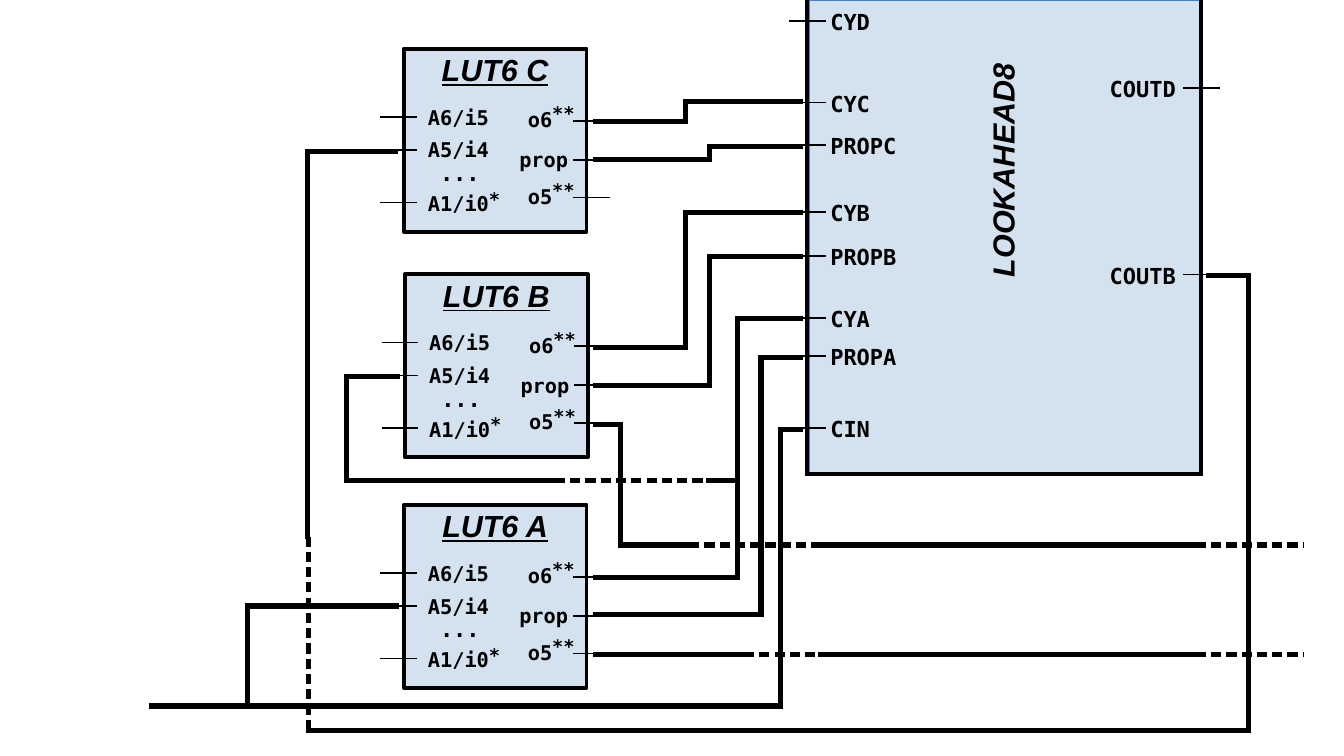
from itertools import pairwise
from pptx import Presentation, util as u
from pptx.dml.color import RGBColor
from pptx.enum import shapes, text
from pptx.oxml import ns, xmlchemy as xc

PX = 9144
INK = {"line": "000000", "fill": "729FCF"}
MONO, SANS = "DejaVu Sans Mono", "Arial"


def emu(*nums):
    return [u.Emu(n * PX) for n in nums]


def shade(fill, name):
    fill.solid()
    fill.fore_color.rgb = RGBColor.from_string(INK[name])


def add(parent, tag, **attrs):
    node = xc.OxmlElement(tag)
    for key, val in attrs.items():
        node.set(key, val)
    parent.append(node)
    return node


def line(slide, start, end, size=1, dash=False):
    bar = slide.shapes.add_connector(
        shapes.MSO_CONNECTOR.STRAIGHT, *emu(*start, *end))
    bar.line.width = u.Pt(size)
    shade(bar.line.fill, "line")
    pen = bar.line._get_or_add_ln()
    if dash:
        add(add(pen, "a:custDash"), "a:ds", d="200000", sp="100000")
    elif size == 3:
        pen.set("cap", "sq")
    add(bar._element.spPr, "a:effectLst")


def style(run, size, face):
    font = run.font
    font.name, font.size, font.bold = face, u.Pt(size), True
    font.italic = face == SANS
    font.color.rgb = RGBColor.from_string(INK["line"])
    return font


def label(slide, words, box, size, face=MONO):
    area = slide.shapes.add_textbox(*emu(*box))
    frame = area.text_frame
    frame.word_wrap = True
    frame.text = words
    style(frame.paragraphs[0].runs[0], size, face)
    return area


def block(slide, box):
    rect = slide.shapes.add_shape(shapes.MSO_SHAPE.RECTANGLE, *emu(*box))
    rect.shadow.inherit = False
    shade(rect.fill, "fill")
    tint = rect._element.spPr.find(".//" + ns.qn("a:srgbClr"))
    add(tint, "a:alpha", val="30000")
    return rect


def lut(slide, name, box):
    x, y, w, h = box
    rect = block(slide, box)
    rect.line.width = u.Pt(2.3)
    shade(rect.line.fill, "line")
    frame = rect.text_frame
    frame.vertical_anchor = text.MSO_ANCHOR.TOP
    frame.margin_top = emu(2)[0]
    frame.word_wrap = False
    frame.text = name
    head = frame.paragraphs[0]
    head.alignment = text.PP_ALIGN.CENTER
    style(head.runs[0], 18, SANS).underline = True
    for edge, rows in ((-19, (56, 83, 126)), (w - 11, (59, 91, 122))):
        for row in rows:
            line(slide, (x + edge, y + row), (x + edge + 30, y + row))
    for words, dx, dy, wide, size in LABELS:
        label(slide, words, (x + dx, y + dy, wide, 29), size)


def ahead(slide, box):
    x, y, w, h = box
    block(slide, box)
    left, right, base = x - 2, x + w + 1, y + h
    for start, end in (((left, y), (left, base)),
                       ((left, base - 1), (right, base - 1)),
                       ((right, y), (right, base))):
        line(slide, start, end, 2.3)
    for pins, edge, shift in ((INS, x - 17, 24), (OUTS, x + w - 14, -70)):
        for words, row in pins:
            line(slide, (edge, y + row), (edge + 30, y + row))
            label(slide, words, (edge + shift, y + row - 15, 110, 31), 13)
    name = label(slide, "LOOKAHEAD8", (x + 39, y + 100, 236, 38), 18, SANS)
    name.rotation = 270


LABELS = [
    ("A6/i5", 10, 41, 71, 12), ("A5/i4", 10, 68, 81, 12),
    ("...", 20, 86, 60, 13), ("A1/i0", 10, 112, 71, 12),
    ("*", 60, 109, 30, 11), ("o6", 92, 43, 46, 12),
    ("**", 112, 39, 40, 11), ("prop", 85, 76, 110, 12),
    ("o5", 92, 106, 46, 12), ("**", 112, 102, 40, 11),
]
INS = [("CYD", 17), ("CYC", 84), ("PROPC", 119), ("CYB", 174),
       ("PROPB", 210), ("CYA", 261), ("PROPA", 292), ("CIN", 351)]
OUTS = [("COUTD", 72), ("COUTB", 225)]
LUTS = [("LUT6 C", 331, 40), ("LUT6 B", 332, 225), ("LUT6 A", 331, 414)]

STEPS = [(100, 562, 83), (131, 582, 120), (285, 562, 174),
         (316, 582, 210), (474, 605, 261), (504, 624, 293)]
WIRES = [[(488, a), (x, a), (x, b), (656, b)] for a, x, b in STEPS] + [
    [(124, 579), (640, 579), (640, 352), (656, 352)],
    [(203, 579), (203, 497), (325, 497)],
    [(326, 309), (284, 309), (284, 394), (456, 394)],
    [(581, 394), (605, 394)],
    [(991, 226), (1024, 226), (1024, 599), (253, 599)],
    [(252, 440), (252, 124), (324, 124)],
    [(488, 348), (509, 348), (509, 447), (569, 447)],
    [(488, 537), (608, 537)],
    [(673, 447), (981, 447)],
    [(673, 537), (981, 537)],
]
DASHES = [[(455, 394), (581, 394)], [(253, 440), (253, 598)],
          [(565, 447), (691, 447)], [(585, 537), (711, 537)],
          [(943, 447), (1069, 447)], [(943, 537), (1069, 537)]]


def wires(slide):
    for route in WIRES:
        for start, end in pairwise(route):
            line(slide, start, end, 3)
    for start, end in DASHES:
        line(slide, start, end, 3, True)


def main():
    deck = Presentation()
    deck.slide_width, deck.slide_height = emu(1102, 620)
    slide = deck.slides.add_slide(deck.slide_layouts[6])
    ahead(slide, (664, 0, 320, 390))
    for name, x, y in LUTS:
        lut(slide, name, (x, y, 150, 150))
    wires(slide)
    deck.save("out.pptx")


if __name__ == "__main__":
    main()
